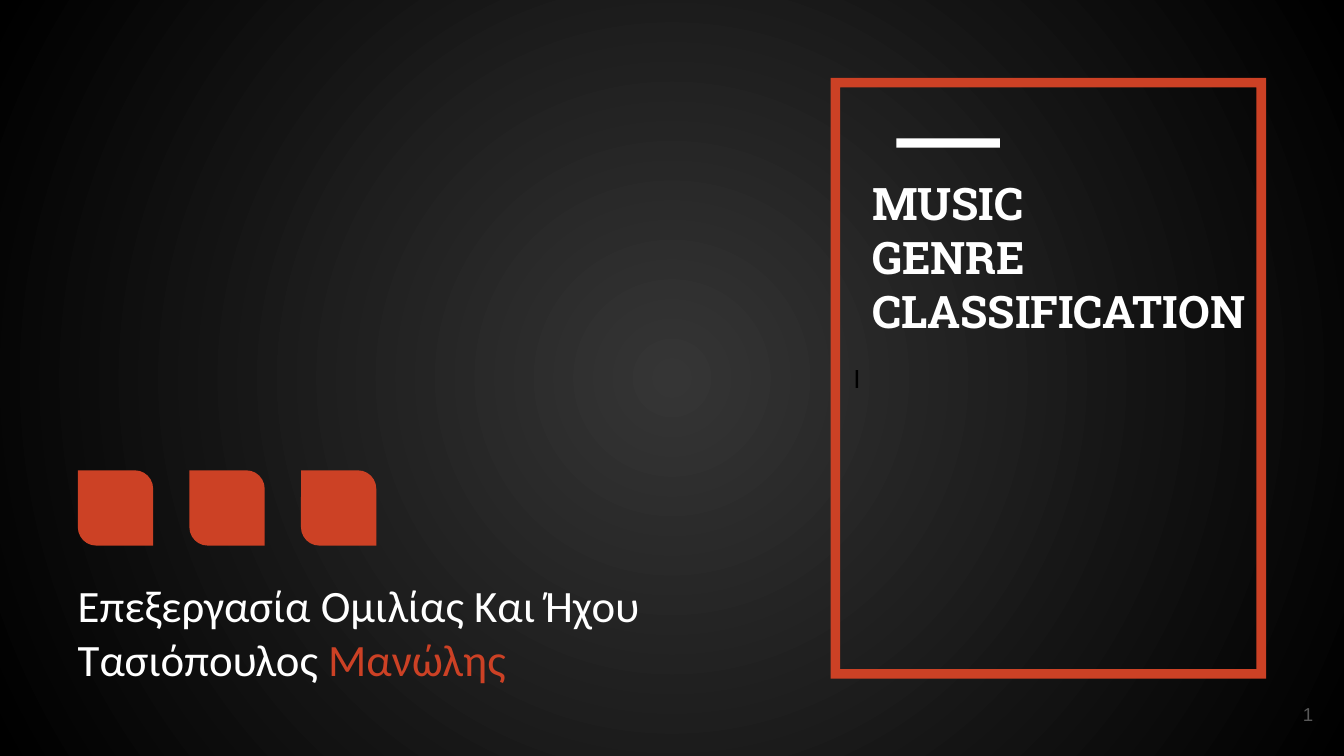
from typing import NamedTuple

from lxml.etree import SubElement
from pptx import Presentation
from pptx.dml.color import RGBColor
from pptx.enum.shapes import MSO_SHAPE as Shape
from pptx.enum.text import MSO_ANCHOR as Anchor, MSO_AUTO_SIZE as AutoSize, PP_ALIGN as Align
from pptx.oxml.ns import qn
from pptx.util import Inches, Pt

COLORS = {
    "accent": "CC4125",
    "light": "FFFFFF",
    "dark": "000000",
    "glow": "4D4D4D",
    "muted": "595959",
}


class Box(NamedTuple):
    left: float
    top: float
    width: float
    height: float

    def lengths(self) -> list:
        return [Inches(value) for value in self]


class Style(NamedTuple):
    font: str
    size: float
    bold: bool = False


class Piece(NamedTuple):
    text: str
    color: str


SLIDE_WIDTH = 10
SLIDE_HEIGHT = SLIDE_WIDTH * 9 / 16

HEADING = Style("Roboto Slab", 24, True)
SUBTITLE = Style("Calibri", 24)
FRAME_MARK = Style("Arial", 14)
PAGE_NUMBER = Style("Arial", 10)

TITLE_LINES = ["MUSIC", "GENRE", "CLASSIFICATION"]
SUBTITLE_LINES = [
    [Piece("Επεξεργασία Ομιλίας Και Ήχου", "light")],
    [Piece("Τασιόπουλος ", "light"), Piece("Μανώλης", "accent")],
]
LEAF_COUNT = 3
LEAF_PITCH = 0.83


def rgb(color: str) -> RGBColor:
    return RGBColor.from_string(COLORS[color])


def paint_background(slide) -> None:
    """Fill the background with a glow that fades out from the centre."""
    fill = slide.background.fill
    fill.gradient()
    for position, (stop, color) in enumerate(zip(fill.gradient_stops, ("glow", "dark"))):
        stop.color.rgb = rgb(color)
        stop.position = position
    gradient = slide.background._cSld.find(".//" + qn("a:gradFill"))
    gradient.remove(gradient.find(qn("a:lin")))
    circle = SubElement(gradient, qn("a:path"), path="circle")
    SubElement(circle, qn("a:fillToRect"), l="50000", t="50000", r="50000", b="50000")


def add_block(slide, kind: Shape, box: Box, color: str, adjustments: tuple = ()):
    block = slide.shapes.add_shape(kind, *box.lengths())
    block.shadow.inherit = False
    block.fill.solid()
    block.fill.fore_color.rgb = rgb(color)
    block.line.fill.background()
    for index, value in enumerate(adjustments):
        block.adjustments[index] = value
    return block


def set_opacity(block, percent: int) -> None:
    color = block._element.spPr.find(qn("a:solidFill"))[0]
    SubElement(color, qn("a:alpha"), val=str(percent * 1000))


def write(holder, lines: list[list[Piece]], style: Style,
          align: Align = Align.LEFT, anchor: Anchor = Anchor.TOP) -> None:
    frame = holder.text_frame
    frame.word_wrap = True
    frame.auto_size = AutoSize.NONE
    frame.vertical_anchor = anchor
    frame.margin_left = frame.margin_right = Inches(0.1)
    frame.margin_top = frame.margin_bottom = Inches(0.1)
    for index, pieces in enumerate(lines):
        paragraph = frame.add_paragraph() if index else frame.paragraphs[0]
        paragraph.alignment = align
        for piece in pieces:
            run = paragraph.add_run()
            run.text = piece.text
            run.font.name = style.font
            run.font.size = Pt(style.size)
            run.font.bold = style.bold
            run.font.color.rgb = rgb(piece.color)


def main() -> None:
    deck = Presentation()
    deck.slide_width, deck.slide_height = Inches(SLIDE_WIDTH), Inches(SLIDE_HEIGHT)
    slide = deck.slides.add_slide(deck.slide_layouts[5])
    paint_background(slide)

    veil = add_block(slide, Shape.RECTANGLE, Box(0, 0, SLIDE_WIDTH, SLIDE_HEIGHT), "dark")
    set_opacity(veil, 30)

    title_frame = add_block(slide, Shape.FRAME, Box(6.18, 0.58, 3.24, 4.47),
                            "accent", (0.022,))
    write(title_frame, [[Piece("I", "dark")]], FRAME_MARK, anchor=Anchor.MIDDLE)
    add_block(slide, Shape.RECTANGLE, Box(6.67, 1.03, 0.77, 0.07), "light")

    for index in range(LEAF_COUNT):
        leaf = Box(0.58 + index * LEAF_PITCH, 3.5, 0.56, 0.56)
        add_block(slide, Shape.ROUND_2_DIAG_RECTANGLE, leaf, "accent", (0, 0.243))

    title = slide.shapes.title
    title.left, title.top, title.width, title.height = Box(6.39, 1.21, 3.02, 2.7).lengths()
    write(title, [[Piece(line, "light")] for line in TITLE_LINES], HEADING)
    # The title belongs in front of the veil and the frame.
    slide.shapes._spTree.append(title._element)

    subtitle = slide.shapes.add_textbox(*Box(0.48, 4.2, 5.59, 0.87).lengths())
    write(subtitle, SUBTITLE_LINES, SUBTITLE)

    page_number = slide.shapes.add_textbox(*Box(9.27, 5.1, 0.6, 0.43).lengths())
    write(page_number, [[Piece("1", "muted")]], PAGE_NUMBER, Align.RIGHT, Anchor.MIDDLE)

    deck.save("out.pptx")


if __name__ == "__main__":
    main()
